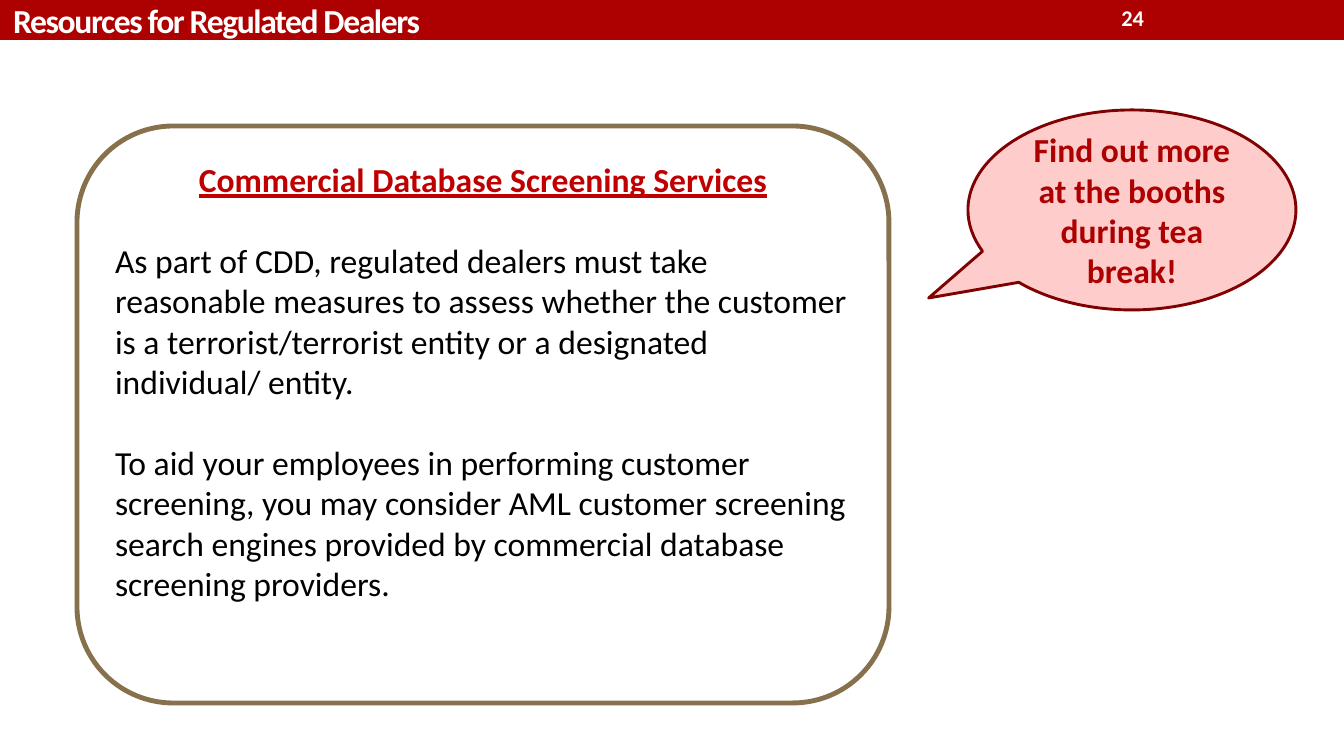
from pptx import Presentation
from pptx.dml.color import RGBColor
from pptx.enum.shapes import MSO_SHAPE as SHAPE
from pptx.enum.text import MSO_ANCHOR as ANCHOR, MSO_AUTO_SIZE as AUTO_SIZE, PP_ALIGN as ALIGN
from pptx.util import Pt

PX = 914400 / 100.8
FONT = "Calibri"
RED = RGBColor(0xAD, 0x01, 0x01)
DARK_RED = RGBColor(0x80, 0x01, 0x01)
HEADING_RED = RGBColor(0xC0, 0x00, 0x00)
PINK = RGBColor(0xFF, 0xCC, 0xCC)
BROWN = RGBColor(0x87, 0x71, 0x4D)
WHITE = RGBColor(0xFF, 0xFF, 0xFF)
BLACK = RGBColor(0x00, 0x00, 0x00)

SERVICES_TEXT = [
    "As part of CDD, regulated dealers must take reasonable measures to assess "
    "whether the customer is a terrorist/terrorist entity or a designated individual/ entity.",
    "To aid your employees in performing customer screening, you may consider AML customer "
    "screening search engines provided by commercial database screening providers.",
]


def px(*lengths):
    return [round(n * PX) for n in lengths]


def add_run(p, text, color, size=24, bold=False, underline=False):
    r = p.add_run()
    r.text = text
    font = r.font
    font.name, font.size, font.bold = FONT, Pt(size), bold
    font.underline = underline
    font.color.rgb = color
    return r


def set_frame(tf, anchor):
    tf.word_wrap = True
    tf.auto_size = AUTO_SIZE.NONE
    tf.vertical_anchor = anchor
    return tf.paragraphs[0]


def add_box(slide, kind, box, fill=None, line=None, width=1):
    sp = slide.shapes.add_shape(kind, *px(*box))
    sp.shadow.inherit = False
    if fill is None:
        sp.fill.background()
    else:
        sp.fill.solid()
        sp.fill.fore_color.rgb = fill
    if line is None:
        sp.line.fill.background()
    else:
        sp.line.color.rgb = line
        sp.line.width = Pt(width)
    return sp


def add_title(slide, text, box):
    title = slide.shapes.title
    title.left, title.top, title.width, title.height = px(*box)
    p = set_frame(title.text_frame, ANCHOR.MIDDLE)
    p.alignment = ALIGN.LEFT
    r = add_run(p, text, WHITE, bold=True)
    r.font._element.set("spc", "-100")


def add_page_number(slide, text, box):
    sp = slide.shapes.add_textbox(*px(*box))
    p = set_frame(sp.text_frame, ANCHOR.MIDDLE)
    p.alignment = ALIGN.RIGHT
    add_run(p, text, WHITE, size=16, bold=True)


def add_services_panel(slide, heading, paragraphs, box):
    sp = add_box(slide, SHAPE.ROUNDED_RECTANGLE, box, line=BROWN, width=3.5)
    tf = sp.text_frame
    p = set_frame(tf, ANCHOR.TOP)
    p.alignment = ALIGN.CENTER
    add_run(p, heading, HEADING_RED, bold=True, underline=True)
    for text in paragraphs:
        p = tf.add_paragraph()
        p.alignment = ALIGN.LEFT
        p.space_before = Pt(29)
        add_run(p, text, BLACK)


def add_callout(slide, text, box):
    sp = add_box(slide, SHAPE.OVAL_CALLOUT, box, PINK, DARK_RED, 2.08)
    sp.adjustments[0], sp.adjustments[1] = -0.62, 0.44
    p = set_frame(sp.text_frame, ANCHOR.MIDDLE)
    p.alignment = ALIGN.CENTER
    add_run(p, text, RED, bold=True)


def main():
    prs = Presentation()
    prs.slide_width, prs.slide_height = px(1344, 756)
    slide = prs.slides.add_slide(prs.slide_layouts[5])

    # Header bar, placed behind the title
    bar = add_box(slide, SHAPE.RECTANGLE, (0, 0, 1344, 40), RED)
    slide.shapes.title._element.addprevious(bar._element)
    add_page_number(slide, "24", (997, 0, 157, 36))
    add_title(slide, "Resources for Regulated Dealers", (3, 0, 931, 40))

    # Content
    add_services_panel(slide, "Commercial Database Screening Services",
                       SERVICES_TEXT, (77, 126, 812, 577))
    add_callout(slide, "Find out more at the booths during tea break!",
                (968, 110, 328, 200))

    prs.save("out.pptx")


if __name__ == "__main__":
    main()
